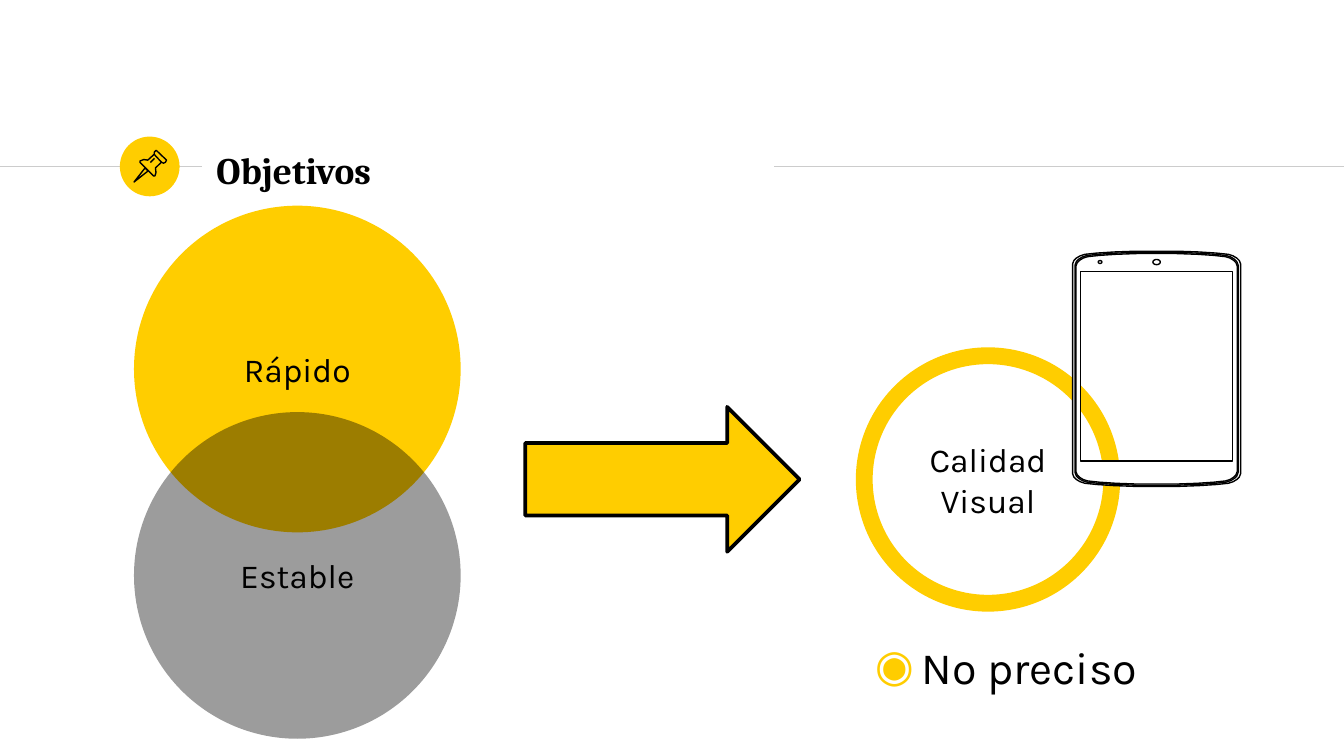
from dataclasses import dataclass

from lxml import etree
from pptx import Presentation
from pptx.dml.color import RGBColor
from pptx.enum import shapes, text
from pptx.oxml import ns
from pptx.util import Pt


@dataclass(frozen=True)
class Theme:
    gold: str = "FFCD00"
    black: str = "000000"
    white: str = "FFFFFF"
    rule: str = "CCCCCC"
    head: str = "Cambria"
    body: str = "Karla"
    title: int = 20
    label: int = 18
    item: int = 24
    thin: float = 0.75


T = Theme()
PIN = [
    ([(77.7, 90), (71.8, 97.5), (79.3, 91.6)], True),
    ([(82.6, 82.7), (82.7, 81.5), (83.7, 80.5), (89.2, 85.8),
      (88.6, 87), (87.6, 87.4), (86.5, 86.9)], True),
    ([(82.6, 82.7), (79.2, 85.8), (77, 85.5), (75, 86.3), (75, 87),
      (82.3, 94.3), (83, 94.3), (83.6, 92.5), (83.3, 90), (86.5, 86.9)], False),
    ([(80.6, 87.1), (82.8, 84.9)], False),
]
CORNER = [(0, 63), (11.2, 63), (22.7, 62.6), (32, 62), (38.5, 61.3),
          (41, 60.5), (43, 59.3), (44.3, 58), (45, 56.2)]


def tag(node, name, **attrs):
    return etree.SubElement(node, ns.qn(name), attrs)


def place(item, box):
    item.left, item.top, item.width, item.height = map(Pt, box)


def paint(shape, fill=None, line=None, width=T.thin):
    shape.shadow.inherit = False
    if fill:
        shape.fill.solid()
        shape.fill.fore_color.rgb = RGBColor.from_string(fill)
    else:
        shape.fill.background()
    if line:
        shape.line.color.rgb = RGBColor.from_string(line)
        shape.line.width = Pt(width)
    else:
        shape.line.fill.background()


def write(shape, words, size, face, bold=False, align=text.PP_ALIGN.LEFT,
          anchor=text.MSO_ANCHOR.MIDDLE):
    frame = shape.text_frame
    frame.text = words
    frame.word_wrap = True
    frame.auto_size = text.MSO_AUTO_SIZE.NONE
    frame.vertical_anchor = anchor
    frame.margin_left = frame.margin_right = Pt(7.2)
    frame.margin_top = frame.margin_bottom = Pt(7.2)
    para = frame.paragraphs[0]
    para.alignment = align
    para.space_before = Pt(0)
    font = para.runs[0].font
    font.size, font.name, font.bold = Pt(size), face, bold
    font.color.rgb = RGBColor.from_string(T.black)
    return para


def rule(slide, left, right, y):
    line = slide.shapes.add_connector(
        shapes.MSO_CONNECTOR.STRAIGHT, Pt(left), Pt(y), Pt(right), Pt(y))
    line.line.color.rgb = RGBColor.from_string(T.rule)
    line.line.width = Pt(T.thin)
    tag(line._element.spPr, "a:effectLst")


def disc(slide, box, words=None, **style):
    shape = slide.shapes.add_shape(shapes.MSO_SHAPE.OVAL, *map(Pt, box))
    paint(shape, **style)
    if words:
        write(shape, words, T.label, T.body, align=text.PP_ALIGN.CENTER)
    return shape


def fade(shape, percent):
    color = shape._element.spPr.find(".//" + ns.qn("a:srgbClr"))
    tag(color, "a:alpha", val=str(percent * 1000))


def outline(tree, loops, closed=True, fill=None):
    scaled = [[(x * 100, y * 100) for x, y in loop] for loop in loops]
    pen = tree.build_freeform(*scaled[0][0], scale=127)
    for i, loop in enumerate(scaled):
        if i:
            pen.move_to(*loop[0])
        pen.add_line_segments(loop[1:], close=closed)
    paint(pen.convert_to_shape(), fill, T.black)


def pin(slide):
    group = slide.shapes.add_group_shape()
    for points, closed in PIN:
        outline(group.shapes, [points], closed)


def rim(mid, wide, tall):
    right = CORNER + [(x, -y) for x, y in reversed(CORNER)]
    ring = right + [(-x, y) for x, y in reversed(right)]
    return [(mid[0] + x * wide, mid[1] - y * tall) for x, y in ring]


def tablet(slide):
    mid = (619.6, 197.6)
    screen = [(578.9, 145.4), (660.2, 145.4), (660.2, 247), (578.9, 247)]
    rims = [rim(mid, w, t) for w, t in [(1, 1), (0.97, 0.99), (0.96, 0.98)]]
    outline(slide.shapes, rims + [screen], fill=T.white)
    for box in [(588.3, 139.6, 2, 1.6), (617.6, 139, 4, 2.8)]:
        disc(slide, box, fill=T.white, line=T.black)


def bullet(slide, holder, words, box):
    place(holder, box)
    para = write(holder, words, T.item, T.body, anchor=text.MSO_ANCHOR.TOP)
    props = para._p.get_or_add_pPr()
    props.set("marL", str(Pt(25)))
    props.set("indent", str(-Pt(25)))
    tag(tag(props, "a:buClr"), "a:srgbClr", val=T.gold)
    tag(props, "a:buFont", typeface=T.body)
    tag(props, "a:buChar", char="◉")


def main():
    deck = Presentation()
    deck.slide_width, deck.slide_height = Pt(720), Pt(405)
    slide = deck.slides.add_slide(deck.slide_layouts[1])
    title, body = slide.placeholders

    rule(slide, 0, 108, 89.2)
    rule(slide, 414.7, 720, 89.2)
    disc(slide, (64.2, 73.2, 32, 32), fill=T.gold)
    place(title, (108.7, 73.4, 305.3, 34.6))
    write(title, "Objetivos", T.title, T.head, bold=True)

    disc(slide, (71.8, 110.2, 175, 175), "Rápido", fill=T.gold)
    fade(disc(slide, (71.8, 220.8, 175, 175), "Estable", fill=T.black), 39)
    pin(slide)

    arrow = slide.shapes.add_shape(
        shapes.MSO_SHAPE.RIGHT_ARROW, Pt(281.4), Pt(218), Pt(147), Pt(77.6))
    paint(arrow, T.gold, T.black, 2)
    disc(slide, (463, 190.6, 132.6, 132.6), "Calidad Visual",
         line=T.gold, width=9)
    tablet(slide)
    bullet(slide, body, "No preciso", (461.5, 335.5, 161.3, 44))
    deck.save("out.pptx")


if __name__ == "__main__":
    main()
